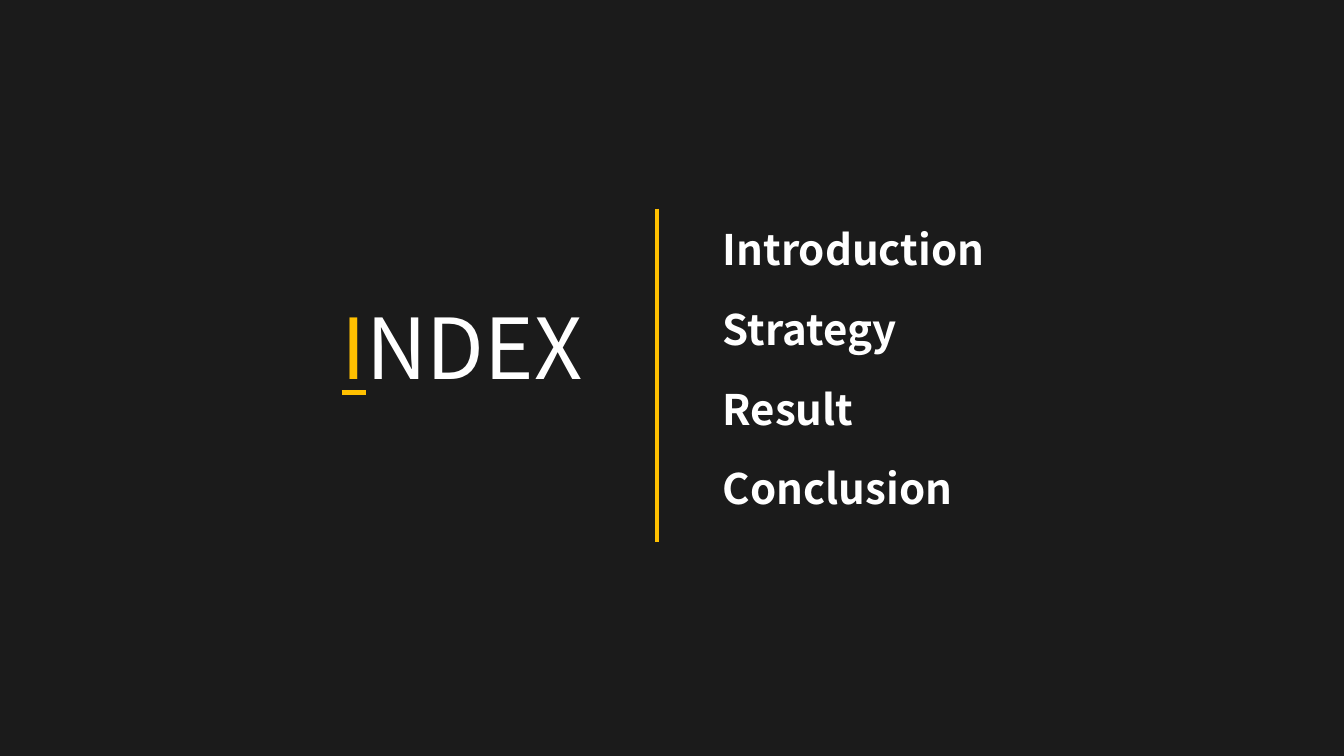
from dataclasses import dataclass

from lxml import etree
from pptx import Presentation
from pptx import util as u
from pptx.dml.color import RGBColor
from pptx.enum import shapes, text
from pptx.oxml import ns


@dataclass(frozen=True)
class Theme:
    backdrop: str = "0D0D0D"
    backdrop_alpha: int = 94
    accent: str = "FFC000"
    light: str = "FFFFFF"
    font: str = "Noto Sans CJK KR"
    title_size: int = 60
    topic_size: int = 30
    rule_width: int = 3
    line_spacing: float = 0.9


class IndexSlide:
    """Draws on one slide; every length is a percentage of its width or height."""

    def __init__(self, deck, theme):
        self.deck, self.theme = deck, theme
        self.slide = deck.slides.add_slide(deck.slide_layouts[6])

    def across(self, percent):
        return round(self.deck.slide_width * percent / 100)

    def down(self, percent):
        return round(self.deck.slide_height * percent / 100)

    def box(self, left, top, width, height):
        return self.across(left), self.down(top), self.across(width), self.down(height)

    def backdrop(self):
        panel = self.slide.shapes.add_shape(
            shapes.MSO_SHAPE.RECTANGLE, *self.box(0, 0, 100, 100))
        panel.shadow.inherit = False
        panel.line.fill.background()
        panel.fill.solid()
        panel.fill.fore_color.rgb = RGBColor.from_string(self.theme.backdrop)
        color = panel.fill._xPr.find(ns.qn("a:solidFill"))[0]
        etree.SubElement(color, ns.qn("a:alpha"),
                         val=str(self.theme.backdrop_alpha * 1000))

    def divider(self, left, top, bottom):
        rule = self.slide.shapes.add_connector(
            shapes.MSO_CONNECTOR.STRAIGHT, self.across(left), self.down(top),
            self.across(left), self.down(bottom))
        rule.line.color.rgb = RGBColor.from_string(self.theme.accent)
        rule.line.width = u.Pt(self.theme.rule_width)
        etree.SubElement(rule._element.spPr, ns.qn("a:effectLst"))

    def label(self, place, size, *parts):
        """Writes one line of text; each part is (wording, colour, font values)."""
        frame = self.slide.shapes.add_textbox(*self.box(*place)).text_frame
        frame.word_wrap = True
        frame.auto_size = text.MSO_AUTO_SIZE.SHAPE_TO_FIT_TEXT
        line = frame.paragraphs[0]
        line.line_spacing = self.theme.line_spacing
        for wording, color, values in parts:
            run = line.add_run()
            run.text = wording
            run.font.color.rgb = RGBColor.from_string(color)
            style = {"name": self.theme.font, "size": u.Pt(size), **values}
            for attribute, value in style.items():
                setattr(run.font, attribute, value)


def main():
    deck = Presentation()
    deck.slide_width, deck.slide_height = u.Inches(13.33), u.Inches(7.5)
    theme = Theme()
    index = IndexSlide(deck, theme)

    index.backdrop()
    index.label((24.68, 40, 24.83, 14.8), theme.title_size,
                ("I", theme.accent, {"underline": True}),
                ("NDEX", theme.light, {}))
    index.divider(48.9, 27.6, 71.73)

    first_top, step = 29.7, 10.54
    for row, topic in enumerate(("Introduction", "Strategy", "Result", "Conclusion")):
        index.label((53.03, first_top + row * step, 32.48, 8.13), theme.topic_size,
                    (topic, theme.light, {"bold": True}))

    deck.save("out.pptx")


if __name__ == "__main__":
    main()
